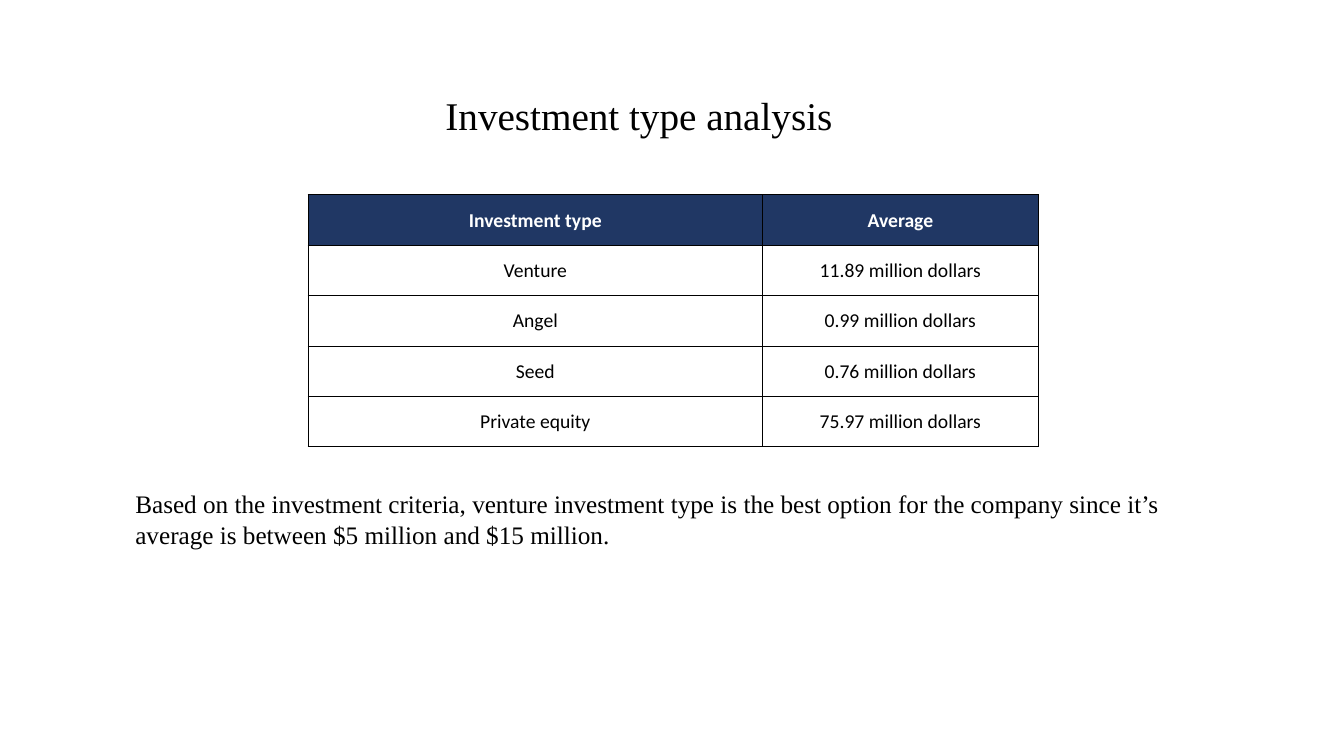
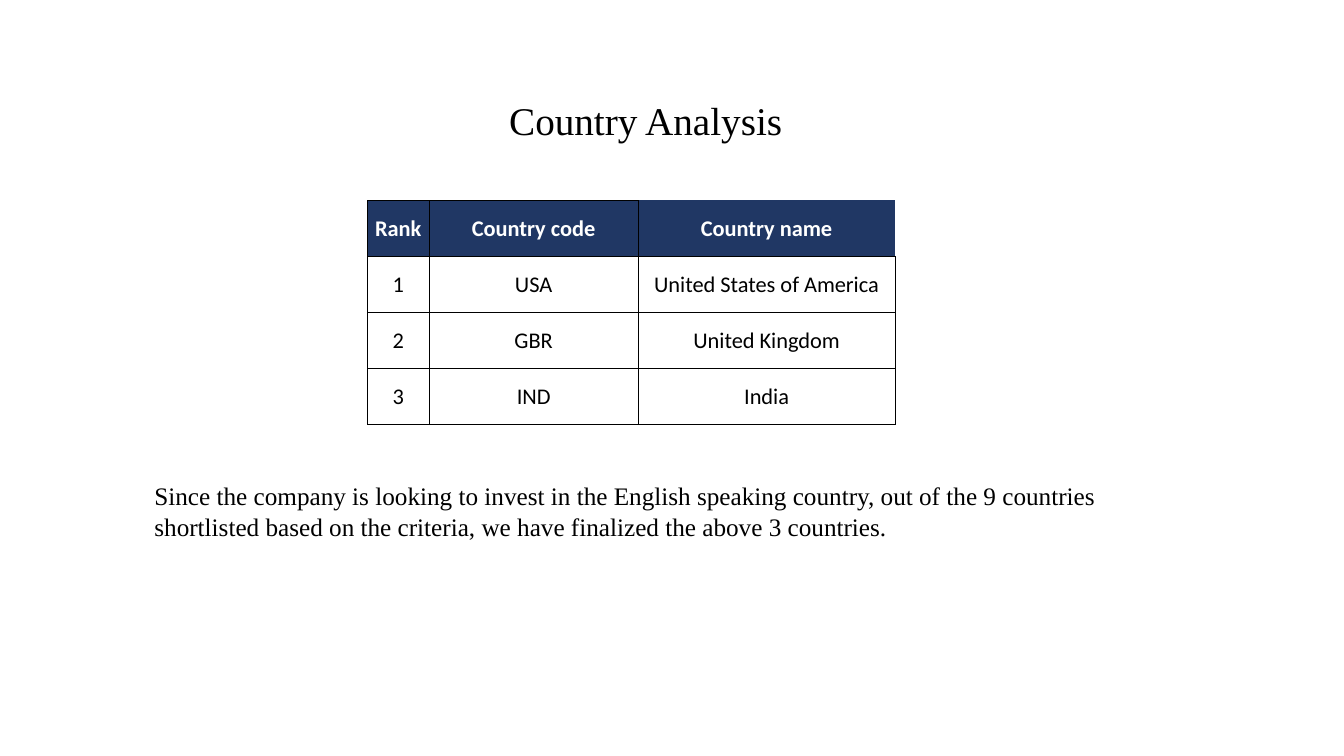
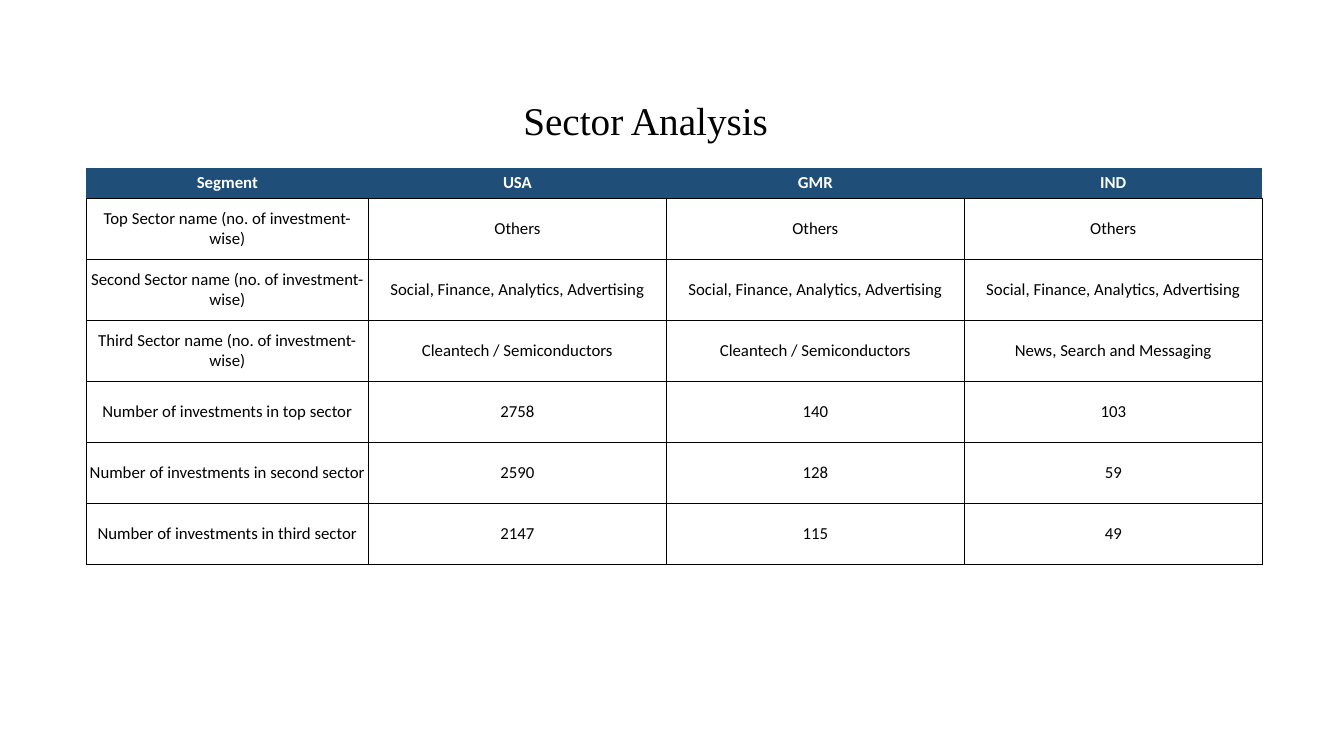
from lxml import etree
from pptx import Presentation
from pptx.dml.color import RGBColor
from pptx.enum.text import MSO_ANCHOR, PP_ALIGN
from pptx.oxml.ns import qn
from pptx.util import Inches, Pt

SLIDE_WIDTH, SLIDE_HEIGHT = Inches(13.33), Inches(7.5)
GRID_COLUMNS = GRID_ROWS = 12
CENTER, LEFT = PP_ALIGN.CENTER, PP_ALIGN.LEFT
MIDDLE, TOP = MSO_ANCHOR.MIDDLE, MSO_ANCHOR.TOP

BLACK = RGBColor(0x00, 0x00, 0x00)
WHITE = RGBColor(0xFF, 0xFF, 0xFF)
NAVY = RGBColor(0x20, 0x37, 0x64)
BLUE = RGBColor(0x1F, 0x4E, 0x78)
SERIF, SANS = "Times New Roman", "Calibri"

TITLE_BOX = (1.12, 1.12, 9.17, 1.5)
NOTE_HEIGHT = 1.14
CELL_INSET = Inches(0.01)
BORDER_WIDTH = Pt(0.5)
ALL_EDGES = "LRTB"

INVESTMENT_ROWS = [
    ("Investment type", "Average"),
    ("Venture", "11.89 million dollars"),
    ("Angel", "0.99 million dollars"),
    ("Seed", "0.76 million dollars"),
    ("Private equity", "75.97 million dollars"),
]
COUNTRY_ROWS = [
    ("Rank", "Country code", "Country name"),
    ("1", "USA", "United States of America"),
    ("2", "GBR", "United Kingdom"),
    ("3", "IND", "India"),
]
SOCIAL = "Social, Finance, Analytics, Advertising"
CLEANTECH = "Cleantech / Semiconductors"
SECTOR_ROWS = [
    ("Segment", "USA", "GMR", "IND"),
    ("Top Sector name (no. of investment-wise)", "Others", "Others", "Others"),
    ("Second Sector name (no. of investment-wise)", SOCIAL, SOCIAL, SOCIAL),
    ("Third Sector name (no. of investment-wise)", CLEANTECH, CLEANTECH,
     "News, Search and Messaging"),
    ("Number of investments in top sector", "2758", "140", "103"),
    ("Number of investments in second sector", "2590", "128", "59"),
    ("Number of investments in third sector", "2147", "115", "49"),
]


def across(columns):
    return round(SLIDE_WIDTH * columns / GRID_COLUMNS)


def down(rows):
    return round(SLIDE_HEIGHT * rows / GRID_ROWS)


def style_paragraph(paragraph, name, size, color, alignment, bold=False):
    paragraph.alignment = alignment
    font = paragraph.font
    font.name, font.size, font.bold = name, Pt(size), bold
    font.color.rgb = color


def add_text(slide, box, text, size, alignment=LEFT, anchor=TOP):
    left, top, width, height = box
    shape = slide.shapes.add_textbox(across(left), down(top), across(width), down(height))
    frame = shape.text_frame
    frame.word_wrap = True
    frame.vertical_anchor = anchor
    frame.text = text
    style_paragraph(frame.paragraphs[0], SERIF, size, BLACK, alignment)
    return frame


def add_title(slide, text, nudge=(0, 0)):
    left, top, width, height = TITLE_BOX
    box = (left + nudge[0], top + nudge[1], width, height)
    frame = add_text(slide, box, text, 28, CENTER, MIDDLE)
    frame.paragraphs[0].line_spacing = 0.9


def add_note(slide, left, top, width, text):
    add_text(slide, (left, top, width, NOTE_HEIGHT), text, 18)


def set_borders(cell, edges):
    properties = cell._tc.get_or_add_tcPr()
    for edge in ALL_EDGES:
        line = etree.SubElement(properties, qn(f"a:ln{edge}"), w=str(BORDER_WIDTH))
        if edge in edges:
            fill = etree.SubElement(line, qn("a:solidFill"))
            etree.SubElement(fill, qn("a:srgbClr"), val=str(BLACK))
        else:
            etree.SubElement(line, qn("a:noFill"))


def fill_cell(cell, text, size, edges, header_color=None):
    cell.text = text
    cell.vertical_anchor = MIDDLE
    cell.margin_left = cell.margin_right = cell.margin_top = CELL_INSET
    cell.margin_bottom = 0
    set_borders(cell, edges)
    if header_color is None:
        cell.fill.background()
    else:
        cell.fill.solid()
        cell.fill.fore_color.rgb = header_color
    is_header = header_color is not None
    style_paragraph(cell.text_frame.paragraphs[0], SANS, size,
                    WHITE if is_header else BLACK, CENTER, is_header)


def add_grid_table(slide, left, top, widths, heights, rows, size, header_color, header_edges):
    frame = slide.shapes.add_table(len(rows), len(widths), across(left), down(top),
                                   across(sum(widths)), down(sum(heights)))
    table = frame.table
    table.first_row = table.horz_banding = False
    for column, width in zip(table.columns, widths):
        column.width = across(width)
    for row, height in zip(table.rows, heights):
        row.height = down(height)
    for row_index, texts in enumerate(rows):
        for column_index, text in enumerate(texts):
            cell = table.cell(row_index, column_index)
            if row_index == 0:
                fill_cell(cell, text, size, header_edges[column_index], header_color)
            else:
                fill_cell(cell, text, size, ALL_EDGES)


def build_investment_slide(slide):
    add_title(slide, "Investment type analysis")
    add_grid_table(slide, 2.75, 3.09, [4.06, 2.46], [0.8] * 5,
                   INVESTMENT_ROWS, 14, NAVY, [ALL_EDGES] * 2)
    add_note(slide, 1.12, 7.68, 9.69,
             "Based on the investment criteria, venture investment type is the best option "
             "for the company since it’s average is between $5 million and $15 million.")


def build_country_slide(slide):
    add_title(slide, "Country Analysis", (0.06, 0.08))
    add_grid_table(slide, 3.28, 3.18, [0.55, 1.87, 2.29], [0.89] * 4,
                   COUNTRY_ROWS, 16, NAVY, [ALL_EDGES, ALL_EDGES, "LB"])
    add_note(slide, 1.29, 7.55, 9,
             "Since the company is looking to invest in the English speaking country, out of "
             "the 9 countries shortlisted based on the criteria, we have finalized the above "
             "3 countries.")


def build_sector_slide(slide):
    add_title(slide, "Sector Analysis", (0.06, 0.08))
    add_grid_table(slide, 0.77, 2.66, [2.52] + [2.66] * 3, [0.48] + [0.97] * 6,
                   SECTOR_ROWS, 12, BLUE, ["B"] * 4)


def main():
    presentation = Presentation()
    presentation.slide_width, presentation.slide_height = SLIDE_WIDTH, SLIDE_HEIGHT
    blank_layout = presentation.slide_layouts[6]
    for build in (build_investment_slide, build_country_slide, build_sector_slide):
        build(presentation.slides.add_slide(blank_layout))
    presentation.save("out.pptx")


if __name__ == "__main__":
    main()
